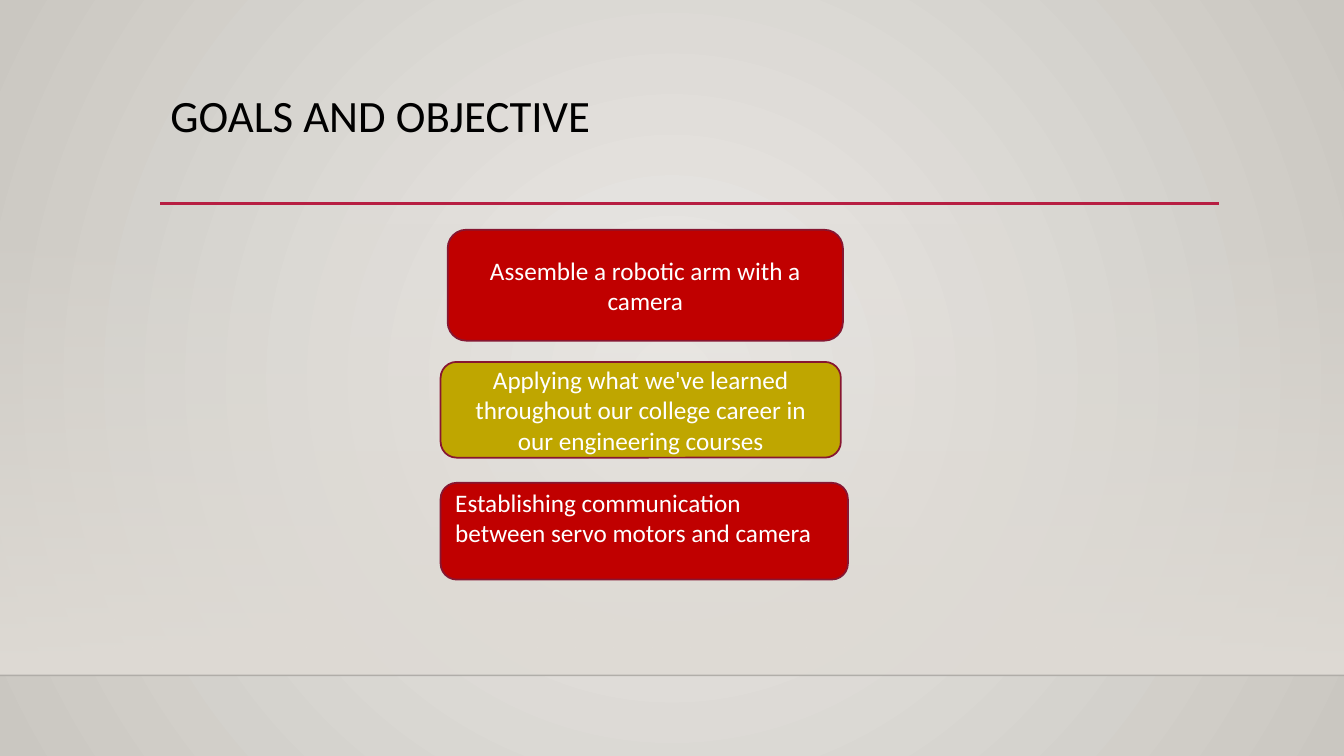
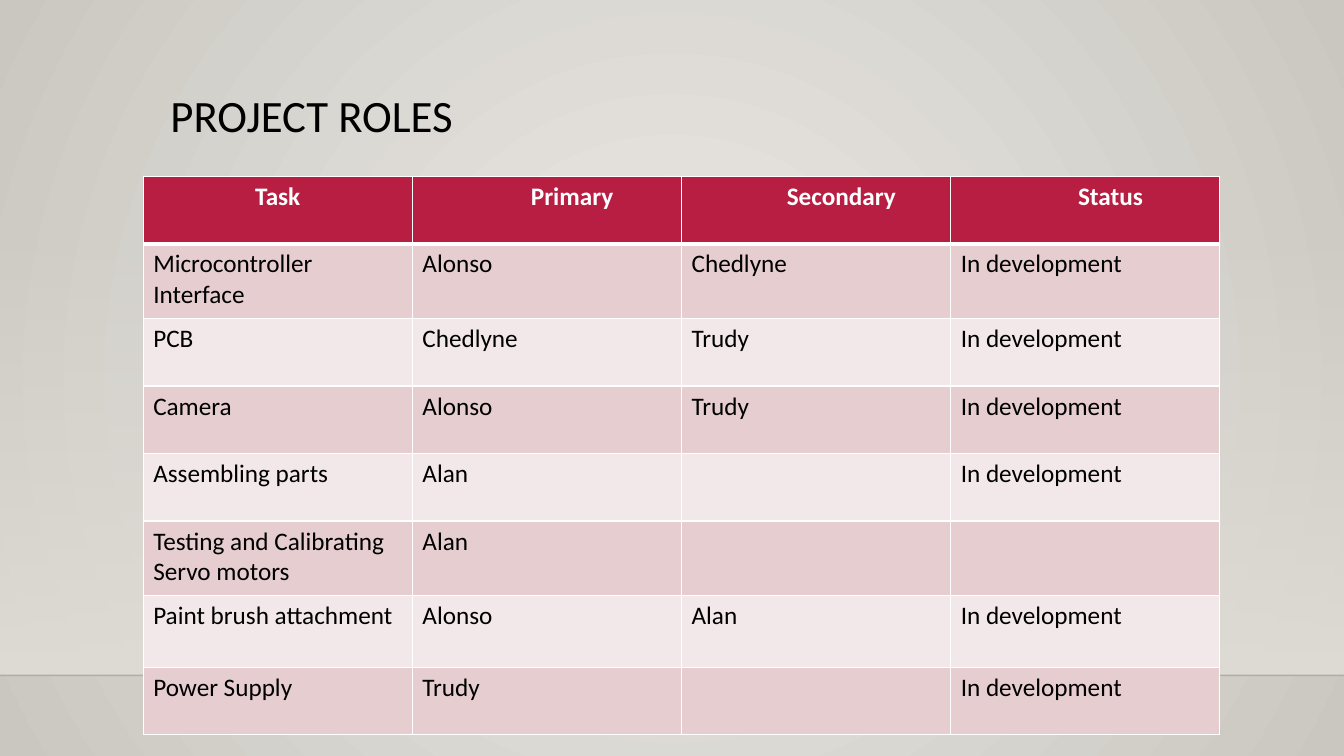
from lxml import etree
from pptx import Presentation
from pptx.dml.color import RGBColor
from pptx.enum.shapes import MSO_CONNECTOR, MSO_SHAPE
from pptx.enum.text import MSO_ANCHOR, MSO_AUTO_SIZE, PP_ALIGN
from pptx.oxml.ns import qn
from pptx.util import Inches, Pt

FONT = "Calibri"
BLACK = RGBColor(0x00, 0x00, 0x00)
WHITE = RGBColor(0xFF, 0xFF, 0xFF)
CRIMSON = RGBColor(0xB7, 0x1E, 0x42)
WINE = RGBColor(0x87, 0x16, 0x31)
RED = RGBColor(0xC0, 0x00, 0x00)
MUSTARD = RGBColor(0xBF, 0xA6, 0x00)
ROSE = RGBColor(0xE6, 0xCD, 0xCF)
PALE_ROSE = RGBColor(0xF3, 0xE8, 0xE9)
SAND = RGBColor(0xDF, 0xDB, 0xD5)
LIGHT_STONE = RGBColor(0xEC, 0xEA, 0xE7)
DARK_STONE = RGBColor(0xCA, 0xC7, 0xC1)

SLIDE_WIDTH, SLIDE_HEIGHT = 13.33, 7.5
TITLE_BOX = (1.59, 0.88, 10.5, 1.15)
RULE_TOP, FLOOR_TOP, BAND_TOP = 2.02, 6.7, 2.21

GOALS = [
    ((4.44, 2.28, 3.92, 1.1), RED, PP_ALIGN.CENTER, MSO_ANCHOR.MIDDLE,
     "Assemble a robotic arm with a camera"),
    ((4.37, 3.59, 3.97, 0.95), MUSTARD, PP_ALIGN.CENTER, MSO_ANCHOR.MIDDLE,
     "Applying what we've learned throughout our college career in our engineering courses"),
    ((4.37, 4.79, 4.04, 0.96), RED, PP_ALIGN.LEFT, MSO_ANCHOR.TOP,
     "Establishing communication between servo motors and camera"),
]

ROLES_BOX = (1.42, 1.75, 10.68, 5.54)
ROW_HEIGHTS = [0.67, 0.74, 0.67, 0.67, 0.67, 0.74, 0.71, 0.67]
ROLES = [
    ("Task", "Primary", "Secondary", "Status"),
    ("Microcontroller Interface", "Alonso", "Chedlyne", "In development"),
    ("PCB", "Chedlyne", "Trudy", "In development"),
    ("Camera", "Alonso", "Trudy", "In development"),
    ("Assembling parts", "Alan", "", "In development"),
    ("Testing and Calibrating Servo motors", "Alan", "", ""),
    ("Paint brush attachment", "Alonso", "Alan", "In development"),
    ("Power Supply", "Trudy", "", "In development"),
]


def inches(box):
    return [Inches(length) for length in box]


def write(paragraph, text, size, color, align=PP_ALIGN.LEFT, bold=False):
    paragraph.alignment = align
    run = paragraph.add_run()
    run.text = text
    run.font.name = FONT
    run.font.size = Pt(size)
    run.font.bold = bold
    run.font.color.rgb = color


def set_alpha(parent, percent):
    """Make the first RGB colour under an element partly transparent."""
    color = parent.find(".//" + qn("a:srgbClr"))
    etree.SubElement(color, qn("a:alpha")).set("val", str(percent * 1000))


def set_stops(fill, *colors):
    fill.gradient()
    for stop, color in zip(fill.gradient_stops, colors):
        stop.color.rgb = color


def add_line(slide, left, right, top, color, width):
    line = slide.shapes.add_connector(
        MSO_CONNECTOR.STRAIGHT, *inches((left, top, right, top)))
    line.line.color.rgb = color
    line.line.width = Pt(width)
    etree.SubElement(line.element.spPr, qn("a:effectLst"))
    return line


def paint_background(layout):
    set_stops(layout.background.fill, LIGHT_STONE, DARK_STONE)
    gradient = layout.element.find(".//" + qn("a:gradFill"))
    gradient.remove(gradient.find(qn("a:lin")))
    circle = etree.SubElement(gradient, qn("a:path"), {"path": "circle"})
    etree.SubElement(circle, qn("a:fillToRect"), dict.fromkeys("ltrb", "50000"))


def build_layout(layout, slide):
    """Draw the shared backdrop on a slide, then move it into its layout."""
    paint_background(layout)
    title = layout.placeholders[0]
    title.left, title.top, title.width, title.height = inches(TITLE_BOX)

    band = slide.shapes.add_shape(
        MSO_SHAPE.RECTANGLE,
        *inches((0, BAND_TOP, SLIDE_WIDTH, FLOOR_TOP - BAND_TOP)))
    band.shadow.inherit = False
    band.line.fill.background()
    set_stops(band.fill, SAND, SAND)
    band.fill.gradient_angle = 270
    set_alpha(band.element.spPr, 0)

    floor = add_line(slide, 0, SLIDE_WIDTH, FLOOR_TOP, BLACK, 1)
    set_alpha(floor.element.spPr, 20)
    left, _, width, _ = TITLE_BOX
    rule = add_line(slide, left, left + width, RULE_TOP, CRIMSON, 2.5)

    for position, shape in enumerate((band, floor, rule), start=2):
        layout.shapes.element.insert(position, shape.element)


def set_title(slide, text):
    frame = slide.shapes.title.text_frame
    frame.auto_size = MSO_AUTO_SIZE.NONE
    frame.vertical_anchor = MSO_ANCHOR.TOP
    paragraph = frame.paragraphs[0]
    paragraph.line_spacing = 0.9
    write(paragraph, text, 32, BLACK)


def add_goal(slide, box, color, align, anchor, text):
    goal = slide.shapes.add_shape(MSO_SHAPE.ROUNDED_RECTANGLE, *inches(box))
    goal.shadow.inherit = False
    goal.fill.solid()
    goal.fill.fore_color.rgb = color
    goal.line.color.rgb = WINE
    goal.line.width = Pt(1.25)
    frame = goal.text_frame
    frame.word_wrap = True
    frame.vertical_anchor = anchor
    if anchor == MSO_ANCHOR.TOP:
        frame.margin_top = 0
    write(frame.paragraphs[0], text, 18, WHITE, align)


def add_borders(cell, **widths):
    """Draw white cell edges; widths in points are keyed L, R, T and B."""
    properties = cell._tc.get_or_add_tcPr()
    for side, width in widths.items():
        edge = etree.SubElement(properties, qn(f"a:ln{side}"), w=str(Pt(width)))
        fill = etree.SubElement(edge, qn("a:solidFill"))
        etree.SubElement(fill, qn("a:srgbClr"), val=str(WHITE))


def format_cell(cell, text, row, column):
    header = row == 0
    add_borders(cell, L=1, R=1, T=3 if row == 1 else 1, B=3 if header else 1)
    cell.fill.solid()
    cell.fill.fore_color.rgb = CRIMSON if header else ROSE if row % 2 else PALE_ROSE
    if header and column:
        cell.margin_left = Inches(0.6)
    if text:
        write(cell.text_frame.paragraphs[0], text, 18,
              WHITE if header else BLACK,
              PP_ALIGN.CENTER if header else PP_ALIGN.LEFT, header)


def add_roles_table(slide, box, rows):
    table = slide.shapes.add_table(len(rows), len(rows[0]), *inches(box)).table
    for row, (texts, height) in enumerate(zip(rows, ROW_HEIGHTS)):
        table.rows[row].height = Inches(height)
        for column, text in enumerate(texts):
            format_cell(table.cell(row, column), text, row, column)


def main():
    presentation = Presentation()
    presentation.slide_width = Inches(SLIDE_WIDTH)
    presentation.slide_height = Inches(SLIDE_HEIGHT)
    layout = presentation.slide_layouts.get_by_name("Title Only")

    goals_slide = presentation.slides.add_slide(layout)
    build_layout(layout, goals_slide)
    set_title(goals_slide, "GOALS AND OBJECTIVE")
    for goal in GOALS:
        add_goal(goals_slide, *goal)

    roles_slide = presentation.slides.add_slide(layout)
    set_title(roles_slide, "PROJECT ROLES")
    add_roles_table(roles_slide, ROLES_BOX, ROLES)

    presentation.save("out.pptx")


if __name__ == "__main__":
    main()
